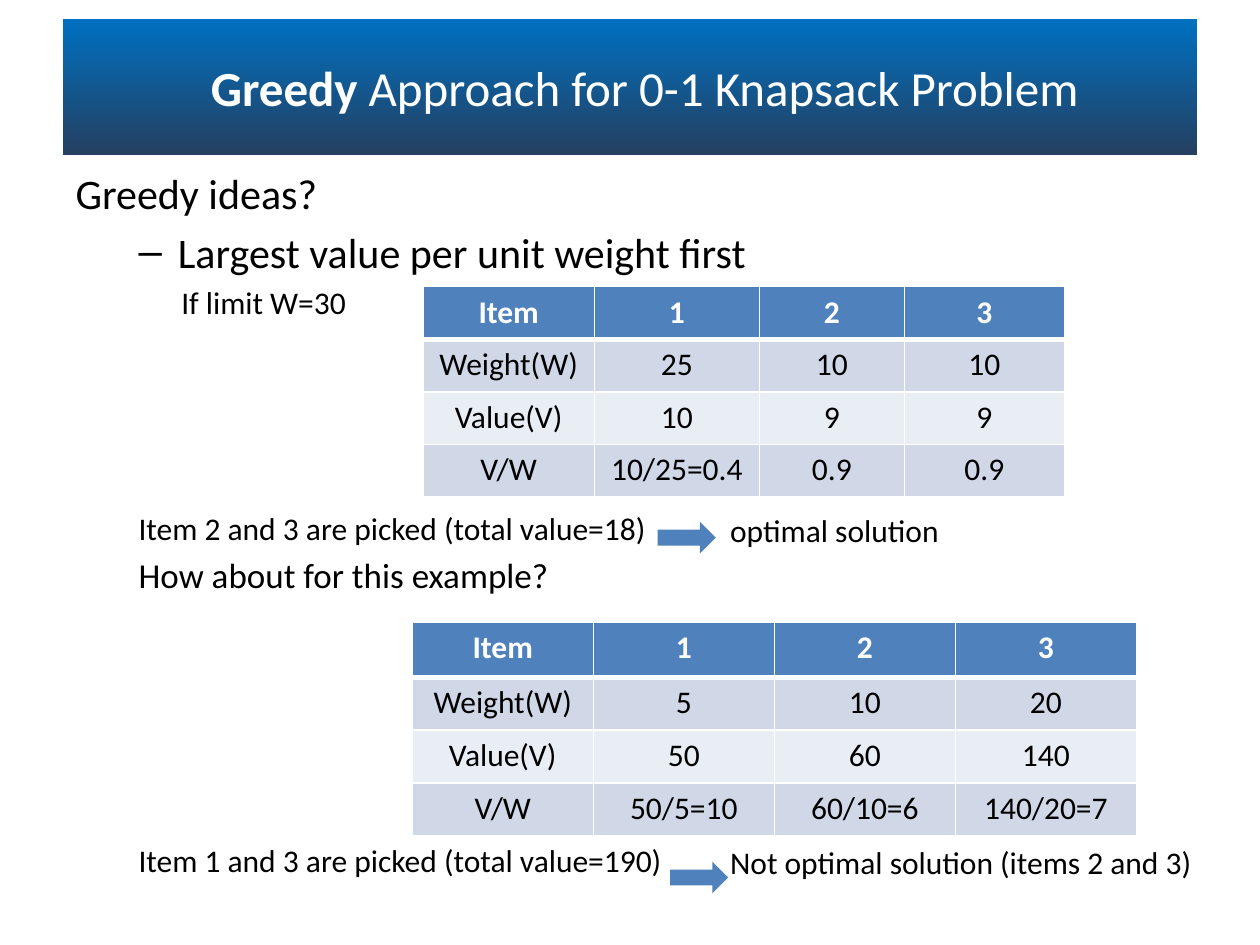
"""Build the slide on the greedy approach for the 0-1 knapsack problem."""
from lxml.etree import SubElement
from pptx import Presentation
from pptx.dml.color import RGBColor
from pptx.enum.shapes import MSO_SHAPE
from pptx.enum.text import MSO_ANCHOR, MSO_AUTO_SIZE, PP_ALIGN
from pptx.oxml.ns import qn
from pptx.util import Cm, Pt

FONT = "Calibri"
WHITE = RGBColor(0xFF, 0xFF, 0xFF)
BLACK = RGBColor(0x00, 0x00, 0x00)
SKY = RGBColor(0x00, 0x70, 0xC0)
NAVY = RGBColor(0x25, 0x40, 0x61)
BLUE = RGBColor(0x4F, 0x81, 0xBD)
BANDS = [RGBColor(0xE9, 0xED, 0xF4), RGBColor(0xD0, 0xD8, 0xE8)]

TITLE = [("Greedy", True), (" Approach for 0-1 Knapsack Problem", False)]

# text, size, space before (pt), left margin, first-line indent, bullet
IDEAS = [
    ("Greedy ideas?", 24, 0, 0, 0, None),
    ("Largest value per unit weight first", 24, 4.8, 2.06, -0.79, "–"),
    ("If limit W=30", 18, 3.6, 2.13, 0, None),
    ("Item 2 and 3 are picked (total value=18)", 18, 107.5, 1.27, 0, None),
    ("How about for this example?", 20, 4, 1.27, 0, None),
    ("Item 1 and 3 are picked (total value=190)", 18, 140, 1.27, 0, None),
]

EXAMPLES = [
    {"left": 8.53, "top": 5.78, "columns": [3.45, 3.33, 2.92, 3.23],
     "rows": [1.06] * 4, "arrow": (13.26, 10.52),
     "verdict": "optimal solution", "verdict_top": 10.3,
     "cells": [["Item", "1", "2", "3"],
               ["Weight(W)", "25", "10", "10"],
               ["Value(V)", "10", "9", "9"],
               ["V/W", "10/25=0.4", "0.9", "0.9"]]},
    {"left": 8.31, "top": 12.55, "columns": [3.65] * 4,
     "rows": [1.11] + [1.06] * 3, "arrow": (13.51, 17.37),
     "verdict": "Not optimal solution (items 2 and 3)", "verdict_top": 16.99,
     "cells": [["Item", "1", "2", "3"],
               ["Weight(W)", "5", "10", "20"],
               ["Value(V)", "50", "60", "140"],
               ["V/W", "50/5=10", "60/10=6", "140/20=7"]]},
]


def place(shape, left, top, width, height):
    shape.left, shape.top = Cm(left), Cm(top)
    shape.width, shape.height = Cm(width), Cm(height)


def add_run(paragraph, text, size, color, bold=False):
    run = paragraph.add_run()
    run.text = text
    run.font.name = FONT
    run.font.size = Pt(size)
    run.font.bold = bold
    run.font.color.rgb = color


def add_shape(slide, kind, left, top, width, height):
    shape = slide.shapes.add_shape(kind, Cm(left), Cm(top), Cm(width), Cm(height))
    shape.shadow.inherit = False
    shape.line.fill.background()
    return shape


def add_banner(slide):
    banner = add_shape(slide, MSO_SHAPE.RECTANGLE, 1.27, 0.38, 22.86, 2.74)
    banner.fill.gradient()
    banner.fill.gradient_angle = 270
    for stop, color in zip(banner.fill.gradient_stops, (SKY, NAVY)):
        stop.color.rgb = color
    slide.shapes._spTree.insert(2, banner._element)


def fill_title(title):
    place(title, 0.51, 0.95, 24.97, 1.6)
    frame = title.text_frame
    frame.vertical_anchor = MSO_ANCHOR.MIDDLE
    frame.auto_size = MSO_AUTO_SIZE.NONE
    heading = frame.paragraphs[0]
    heading.alignment = PP_ALIGN.CENTER
    for text, bold in TITLE:
        add_run(heading, text, 28, WHITE, bold)


def fill_body(body):
    place(body, 1.27, 3.25, 23.65, 15.7)
    frame = body.text_frame
    frame.auto_size = MSO_AUTO_SIZE.NONE
    for index, (text, size, before, margin, indent, bullet) in enumerate(IDEAS):
        idea = frame.add_paragraph() if index else frame.paragraphs[0]
        idea.level = min(index, 1)
        properties = idea._p.get_or_add_pPr()
        properties.set("marL", str(Cm(margin)))
        properties.set("indent", str(Cm(indent)))
        if bullet:
            SubElement(properties, qn("a:buChar"), char=bullet)
        else:
            SubElement(properties, qn("a:buNone"))
        idea.space_before = Pt(before)
        add_run(idea, text, size, BLACK)


def set_borders(cell, row):
    properties = cell._tc.get_or_add_tcPr()
    widths = {"lnL": 1, "lnR": 1, "lnT": 3 if row == 1 else 1, "lnB": 3 if row == 0 else 1}
    for index, (side, width) in enumerate(widths.items()):
        border = SubElement(properties, qn(f"a:{side}"), w=str(Pt(width)))
        fill = SubElement(border, qn("a:solidFill"))
        SubElement(fill, qn("a:srgbClr"), val=str(WHITE))
        properties.insert(index, border)


def add_table(slide, example):
    columns, rows, cells = example["columns"], example["rows"], example["cells"]
    table = slide.shapes.add_table(
        len(rows), len(columns), Cm(example["left"]), Cm(example["top"]),
        Cm(sum(columns)), Cm(sum(rows))).table
    for column, width in zip(table.columns, columns):
        column.width = Cm(width)
    for row, (values, height) in enumerate(zip(cells, rows)):
        table.rows[row].height = Cm(height)
        header = row == 0
        for column, value in enumerate(values):
            cell = table.cell(row, column)
            cell.fill.solid()
            cell.fill.fore_color.rgb = BLUE if header else BANDS[row % 2]
            set_borders(cell, row)
            entry = cell.text_frame.paragraphs[0]
            entry.alignment = PP_ALIGN.CENTER
            add_run(entry, value, 18, WHITE if header else BLACK, header)


def add_verdict(slide, example):
    arrow = add_shape(slide, MSO_SHAPE.RIGHT_ARROW, *example["arrow"], 1.17, 0.64)
    arrow.fill.solid()
    arrow.fill.fore_color.rgb = BLUE
    verdict = slide.shapes.add_textbox(
        Cm(14.72), Cm(example["verdict_top"]), Cm(9.8), Cm(0.78))
    frame = verdict.text_frame
    frame.word_wrap = True
    frame.margin_left = frame.margin_right = frame.margin_top = frame.margin_bottom = 0
    add_run(frame.paragraphs[0], example["verdict"], 18, BLACK)


def main():
    deck = Presentation()
    deck.slide_width, deck.slide_height = Cm(25.4), Cm(19.05)
    slide = deck.slides.add_slide(deck.slide_layouts[1])
    add_banner(slide)
    fill_title(slide.shapes.title)
    fill_body(slide.placeholders[1])
    for example in EXAMPLES:
        add_table(slide, example)
        add_verdict(slide, example)
    deck.save("out.pptx")


if __name__ == "__main__":
    main()
